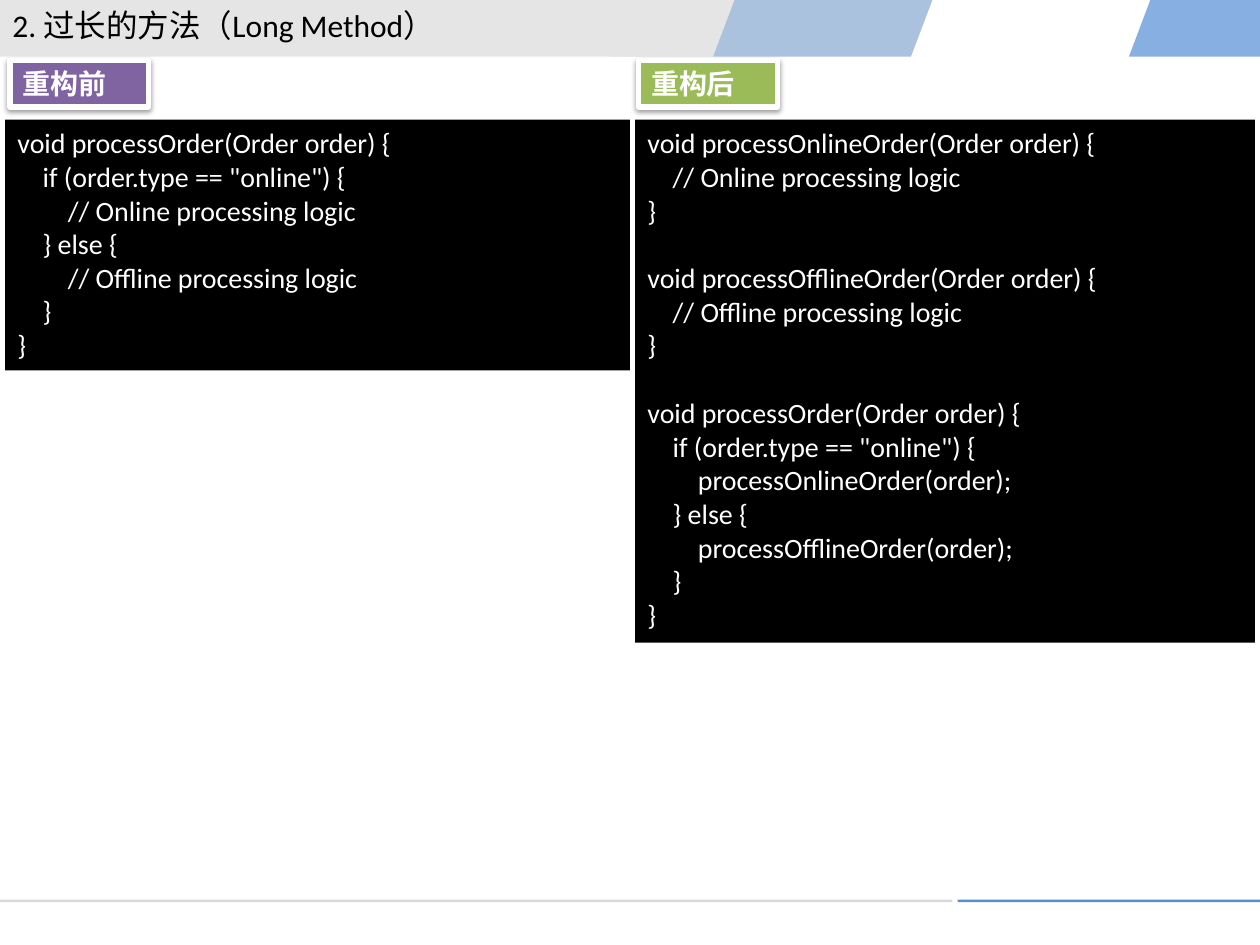
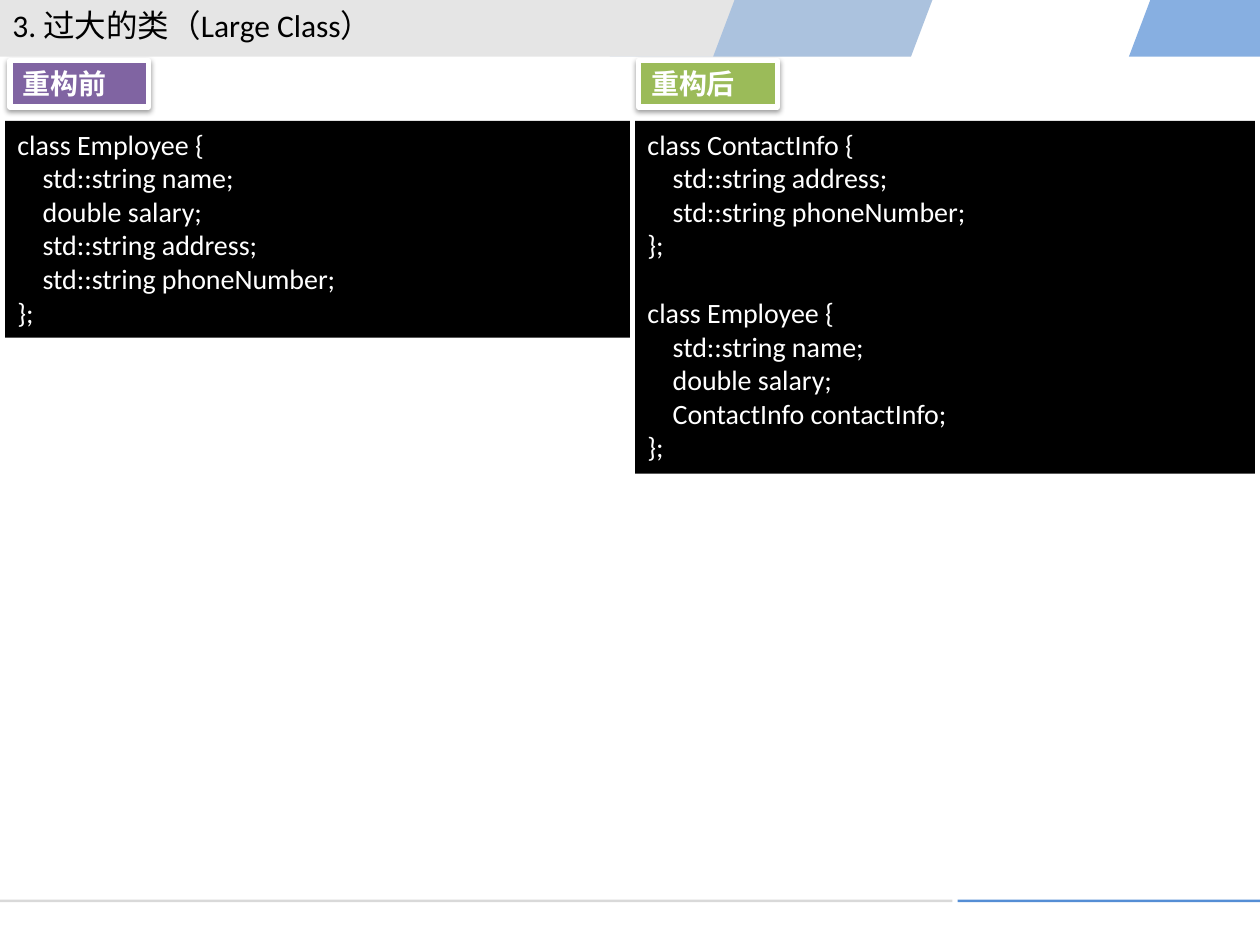
from lxml.etree import SubElement
from pptx import Presentation
from pptx.dml.color import RGBColor
from pptx.enum.shapes import MSO_SHAPE as Preset
from pptx.enum.text import MSO_ANCHOR as Anchor, MSO_AUTO_SIZE as AutoSize, PP_ALIGN as Align
from pptx.oxml.ns import qn
from pptx.util import Inches, Pt

WIDTH, HEIGHT = Inches(10), Inches(7.5)
COLUMNS, ROWS = 100, 75

BLACK = RGBColor(0x00, 0x00, 0x00)
WHITE = RGBColor(0xFF, 0xFF, 0xFF)
BLUE = RGBColor(0x55, 0x8E, 0xD5)
BAND_GREY = RGBColor(0xBF, 0xBF, 0xBF)
RULE_GREY = RGBColor(0xD9, 0xD9, 0xD9)
PURPLE = RGBColor(0x80, 0x64, 0xA2)
GREEN = RGBColor(0x9B, 0xBB, 0x59)

FONT = "Calibri"
CODE_SIZE = 16
CODE_LINE = Pt(19.53)
LINE_ROWS = 2.7
BAND_ROWS = 4.5
HEADER_BANDS = [
    ([(91.3, 0), (100, 0), (100, BAND_ROWS), (89.6, BAND_ROWS)], BLUE, 70),
    ([(0, 0), (74, 0), (72.3, BAND_ROWS), (0, BAND_ROWS)], BAND_GREY, 40),
    ([(58.3, 0), (74, 0), (72.3, BAND_ROWS), (48.4, BAND_ROWS), (56.6, BAND_ROWS)], BLUE, 40),
]
FOOTER_RULES = [(0, 75.6, RULE_GREY), (76, 24, BLUE)]
SIDES = [
    ("重构前", PURPLE, 0.8, 0.4, 49.6),
    ("重构后", GREEN, 50.7, 50.4, 49.2),
]

LONG_METHOD_BEFORE = """\
void processOrder(Order order) {
    if (order.type == "online") {
        // Online processing logic
    } else {
        // Offline processing logic
    }
}"""

LONG_METHOD_AFTER = """\
void processOnlineOrder(Order order) {
    // Online processing logic
}

void processOfflineOrder(Order order) {
    // Offline processing logic
}

void processOrder(Order order) {
    if (order.type == "online") {
        processOnlineOrder(order);
    } else {
        processOfflineOrder(order);
    }
}"""

LARGE_CLASS_BEFORE = """\
class Employee {
    std::string name;
    double salary;
    std::string address;
    std::string phoneNumber;
};"""

LARGE_CLASS_AFTER = """\
class ContactInfo {
    std::string address;
    std::string phoneNumber;
};

class Employee {
    std::string name;
    double salary;
    ContactInfo contactInfo;
};"""

SMELLS = [
    ("2. 过长的方法（Long Method）", 9.5, LONG_METHOD_BEFORE, LONG_METHOD_AFTER),
    ("3. 过大的类（Large Class）", 9.6, LARGE_CLASS_BEFORE, LARGE_CLASS_AFTER),
]


def col(count):
    return round(WIDTH * count / COLUMNS)


def row(count):
    return round(HEIGHT * count / ROWS)


def paint(shape, color):
    shape.fill.solid()
    shape.fill.fore_color.rgb = color
    shape.line.fill.background()
    shape.shadow.inherit = False


def add_block(slide, left, top, width, height, color):
    block = slide.shapes.add_shape(Preset.RECTANGLE, col(left), row(top), col(width), row(height))
    paint(block, color)
    return block


def add_band(slide, corners, color, opacity):
    points = [(col(x), row(y)) for x, y in corners]
    outline = slide.shapes.build_freeform(*points[0])
    outline.add_line_segments(points[1:])
    band = outline.convert_to_shape()
    paint(band, color)
    tint = band.element.spPr.find(qn("a:solidFill")).find(qn("a:srgbClr"))
    SubElement(tint, qn("a:alpha"), val=str(opacity * 1000))


def write_lines(shape, text, size, color, bold=False):
    frame = shape.text_frame
    frame.word_wrap = True
    frame.auto_size = AutoSize.SHAPE_TO_FIT_TEXT
    frame.vertical_anchor = Anchor.TOP
    paragraph = frame.paragraphs[0]
    after_gap = False
    for index, line in enumerate(text.split("\n")):
        if not line:
            after_gap = True
            continue
        if index:
            paragraph = frame.add_paragraph()
        if after_gap:
            paragraph.space_before = CODE_LINE
            after_gap = False
        paragraph.alignment = Align.LEFT
        run = paragraph.add_run()
        run.text = line
        run.font.name = FONT
        run.font.size = Pt(size)
        run.font.bold = bold
        run.font.color.rgb = color


def add_title(slide, title):
    box = slide.shapes.add_textbox(0, 0, col(38.2), row(4))
    write_lines(box, title, 18, BLACK)


def add_code(slide, left, top, width, code):
    line_count = len(code.split("\n"))
    panel = add_block(slide, left, top, width, line_count * LINE_ROWS + 1, BLACK)
    write_lines(panel, code, CODE_SIZE, WHITE)


def add_tag(slide, left, label, color):
    tag = add_block(slide, left, 4.8, 11, 3.7, color)
    tag.line.color.rgb = WHITE
    tag.line.width = Pt(3)
    effects = tag.element.spPr.find(qn("a:effectLst"))
    shadow = SubElement(effects, qn("a:outerShdw"), blurRad=str(Pt(3.1)), dist=str(Pt(1.6)),
                        dir="5400000", rotWithShape="0")
    shade = SubElement(shadow, qn("a:srgbClr"), val=str(BLACK))
    SubElement(shade, qn("a:alpha"), val="38000")
    write_lines(tag, label, 16, WHITE, bold=True)


def add_frame(slide):
    for corners, color, opacity in HEADER_BANDS:
        add_band(slide, corners, color, opacity)
    for left, width, color in FOOTER_RULES:
        add_block(slide, left, 71.4, width, 0.2, color)


def main():
    deck = Presentation()
    deck.slide_width, deck.slide_height = WIDTH, HEIGHT
    for title, code_top, *versions in SMELLS:
        slide = deck.slides.add_slide(deck.slide_layouts[6])
        add_frame(slide)
        add_title(slide, title)
        for (label, color, tag_left, code_left, code_width), code in zip(SIDES, versions):
            add_code(slide, code_left, code_top, code_width, code)
            add_tag(slide, tag_left, label, color)
    deck.save("out.pptx")


if __name__ == "__main__":
    main()
